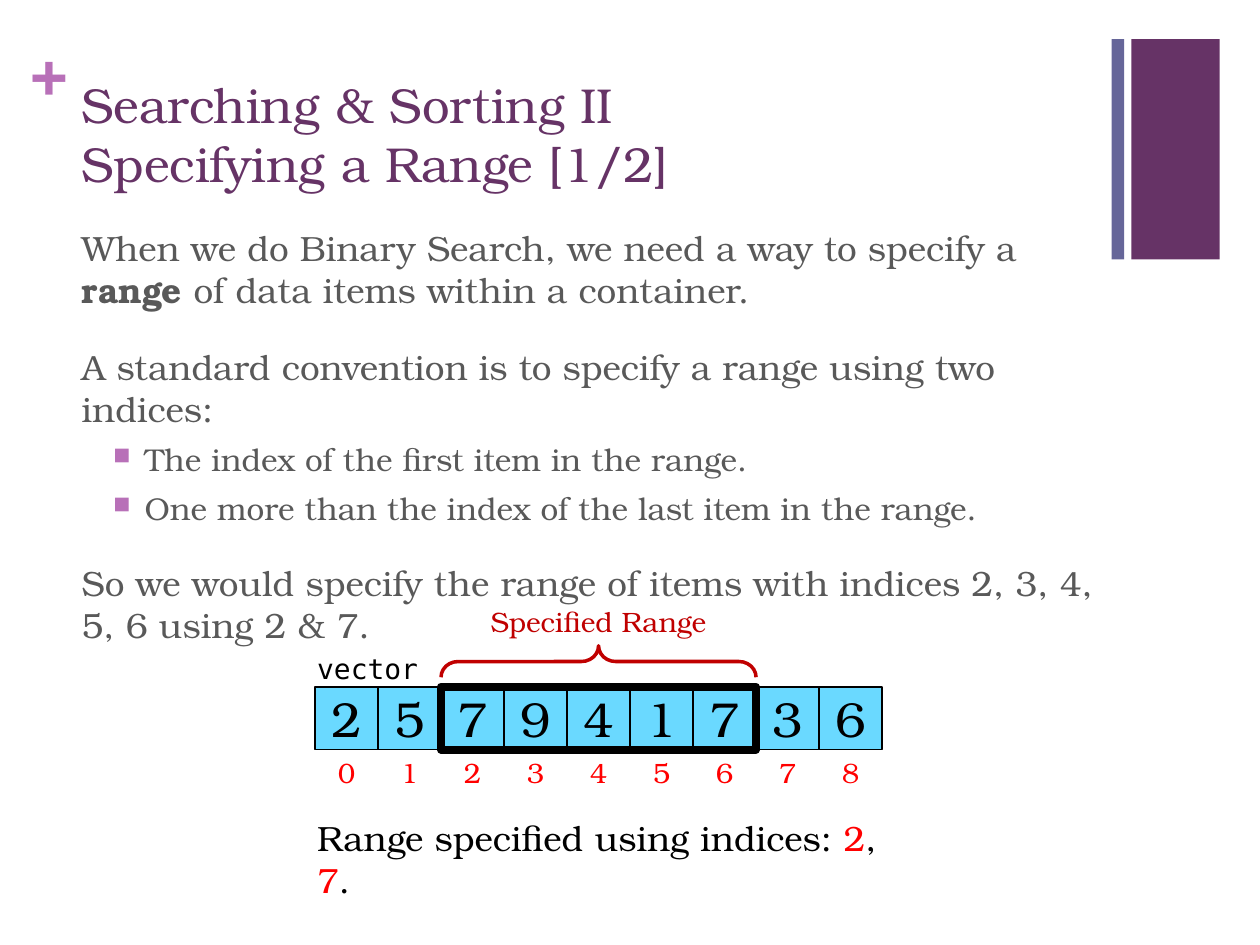
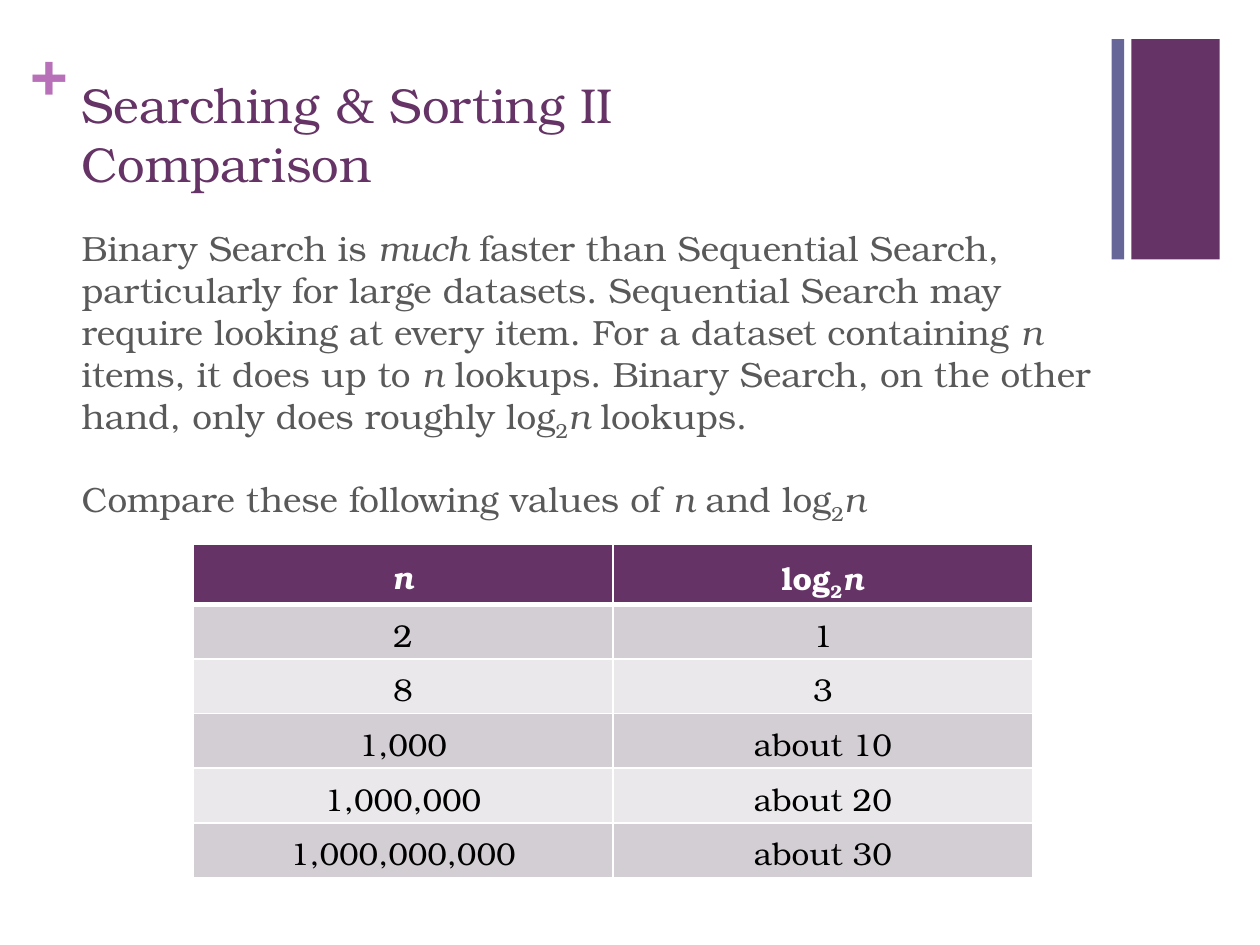
"""Build two slides on binary search: specifying a range, and a comparison of lookups."""
import pptx
import pptx.util
import pptx.dml.color
import pptx.enum.shapes
import pptx.enum.text
import pptx.oxml.ns
from lxml import etree

Pt = pptx.util.Pt
KIND = pptx.enum.shapes.MSO_SHAPE
MID = pptx.enum.text.PP_ALIGN.CENTER
FONT = "TeX Gyre Bonum"
HUES = {
    "plum": "663366", "slate": "666699", "pink": "B870B8", "gray": "595959",
    "black": "000000", "white": "FFFFFF", "sky": "6AD9FF", "red": "FF0000",
    "brick": "C00000", "dark": "D3CED3", "light": "EAE8EA",
}
RGB = {name: pptx.dml.color.RGBColor.from_string(code) for name, code in HUES.items()}


def add(slide, kind, x, y, w, h, fill=None, line=None, weight=1):
    """Add a preset shape, or a wrapping text box when kind is None."""
    area = Pt(x), Pt(y), Pt(w), Pt(h)
    if kind is None:
        shape = slide.shapes.add_textbox(*area)
        shape.text_frame.word_wrap = True
        return shape
    shape = slide.shapes.add_shape(kind, *area)
    shape.shadow.inherit = False
    if fill:
        shape.fill.solid()
        shape.fill.fore_color.rgb = RGB[fill]
    else:
        shape.fill.background()
    if line:
        shape.line.color.rgb = RGB[line]
        shape.line.width = Pt(weight)
    else:
        shape.line.fill.background()
    return shape


def write(para, text, size, hue, align=None, face=FONT, bold=False):
    """Write a string, or a list of (text, mark) parts, into a paragraph."""
    parts = [(text, "")] if isinstance(text, str) else text
    para.alignment = align
    for words, mark in parts:
        if len(parts) == 1:
            para.text = words
            runs = para.runs
        else:
            runs = [para.add_run()]
            runs[0].text = words
        for run in runs:
            font = run.font
            font.name, font.size = face, Pt(size)
            font.bold = bold or mark == "bold"
            font.italic = mark == "slant"
            font.color.rgb = RGB[mark if mark in RGB else hue]
            if mark == "sub":
                run._r.get_or_add_rPr().set("baseline", "-25000")


deck = pptx.Presentation()
deck.slide_width, deck.slide_height = Pt(720), Pt(540)

LOG = [("log", ""), ("2", "sub"), ("n", "slant")]
PAGES = [
    ("Specifying a Range [1/2]", [
        (0, [("When we do Binary Search, we need a way to specify a ", ""),
             ("range", "bold"), (" of data items within a container.", "")]),
        (0, "A standard convention is to specify a range using two indices:"),
        (1, "The index of the first item in the range."),
        (1, "One more than the index of the last item in the range."),
        (0, "So we would specify the range of items with indices 2, 3, 4, 5, 6 using 2 & 7."),
    ]),
    ("Comparison", [
        (0, [("Binary Search is ", ""), ("much", "slant"),
             (" faster than Sequential Search, particularly for large datasets. "
              "Sequential Search may require looking at every item. "
              "For a dataset containing ", ""), ("n", "slant"),
             (" items, it does up to ", ""), ("n", "slant"),
             (" lookups. Binary Search, on the other hand, only does roughly log", ""),
             ("2", "sub"), ("n ", "slant"), ("lookups.", "")]),
        (0, [("Compare these following values of ", ""), ("n", "slant"),
             (" and ", "")] + LOG),
    ]),
]

slides = []
for topic, points in PAGES:
    slide = deck.slides.add_slide(deck.slide_layouts[6])
    slides.append(slide)
    add(slide, KIND.RECTANGLE, 646.5, 22.3, 50.5, 126, "plum")
    add(slide, KIND.RECTANGLE, 635.2, 22.3, 7.2, 126, "slate")

    plus = add(slide, None, 17.5, 18, 21, 44).text_frame
    plus.margin_left = plus.margin_right = plus.margin_top = plus.margin_bottom = 0
    plus.word_wrap = False
    write(plus.paragraphs[0], "+", 36, "pink", bold=True)

    title = add(slide, None, 39.6, 38.2, 594.7, 75.6).text_frame
    title.vertical_anchor = pptx.enum.text.MSO_ANCHOR.MIDDLE
    write(title.paragraphs[0], "Searching & Sorting II\n" + topic, 28, "plum")

    body = add(slide, None, 39.6, 126, 594.7, 372.2).text_frame
    for i, (level, text) in enumerate(points):
        para = body.paragraphs[0] if i == 0 else body.add_paragraph()
        if level:
            props = para._p.get_or_add_pPr()
            props.set("marL", str(Pt(36)))
            props.set("indent", str(-Pt(18)))
            tint = etree.SubElement(props, pptx.oxml.ns.qn("a:buClr"))
            etree.SubElement(tint, pptx.oxml.ns.qn("a:srgbClr"), val=HUES["pink"])
            etree.SubElement(props, pptx.oxml.ns.qn("a:buSzPct"), val="75000")
            etree.SubElement(props, pptx.oxml.ns.qn("a:buChar"), char="■")
        if i:
            para.space_before = Pt(6 if level else 20)
        write(para, text, 18 if level else 20, "gray")

range_page, table_page = slides

LEFT, TOP, SIDE = 180, 392.4, 36
for i, digit in enumerate("257941736"):
    x = LEFT + i * SIDE
    cell = add(range_page, KIND.RECTANGLE, x, TOP, SIDE, SIDE, "sky", "black")
    write(cell.text_frame.paragraphs[0], digit, 28, "black", MID)
    index = add(range_page, None, x, TOP + SIDE, SIDE, 26.6)
    write(index.text_frame.paragraphs[0], str(i), 16, "red", MID)

START, SPAN = LEFT + 2 * SIDE, 5 * SIDE
add(range_page, KIND.RECTANGLE, START, TOP, SPAN, SIDE, None, "black", 4.5)
brace = add(range_page, KIND.LEFT_BRACE, START + SPAN / 2 - 9, 288, 18, SPAN,
            None, "brick", 2)
brace.rotation = 90
brace.adjustments[0] = 0.54

LABELS = [
    (174.2, 463, 342, 20, "black", None, FONT,
     [("Range specified using indices: ", ""), ("2", "red"), (", ", ""),
      ("7", "red"), (".", "")]),
    (174.2, 368.6, SPAN, 16, "black", None, "DejaVu Sans Mono", "vector"),
    (START, 342, SPAN, 16, "brick", MID, FONT, "Specified Range"),
]
for x, y, w, size, hue, align, face, text in LABELS:
    label = add(range_page, None, x, y, w, size * 1.2 + 7.2)
    write(label.text_frame.paragraphs[0], text, size, hue, align, face)

ROWS = [
    ([("n", "slant")], LOG),
    ("2", "1"),
    ("8", "3"),
    ("1,000", "about 10"),
    ("1,000,000", "about 20"),
    ("1,000,000,000", "about 30"),
]
grid = table_page.shapes.add_table(
    len(ROWS), 2, Pt(110.2), Pt(311.2), Pt(480), Pt(29.2 * len(ROWS))).table
for r, row in enumerate(ROWS):
    for c, text in enumerate(row):
        cell = grid.cell(r, c)
        cell.margin_top, cell.margin_bottom = Pt(5.4), Pt(4.2)
        cell.fill.solid()
        cell.fill.fore_color.rgb = RGB["plum" if r == 0 else "dark" if r % 2 else "light"]
        write(cell.text_frame.paragraphs[0], text, 18,
              "black" if r else "white", MID, bold=r == 0)
        props = cell._tc.get_or_add_tcPr()
        for i, edge in enumerate("LRTB"):
            thick = (r, edge) in ((0, "B"), (1, "T"))
            line = etree.Element(pptx.oxml.ns.qn("a:ln" + edge), w=str(Pt(3 if thick else 1)))
            paint = etree.SubElement(line, pptx.oxml.ns.qn("a:solidFill"))
            etree.SubElement(paint, pptx.oxml.ns.qn("a:srgbClr"), val=HUES["white"])
            props.insert(i, line)

deck.save("out.pptx")
